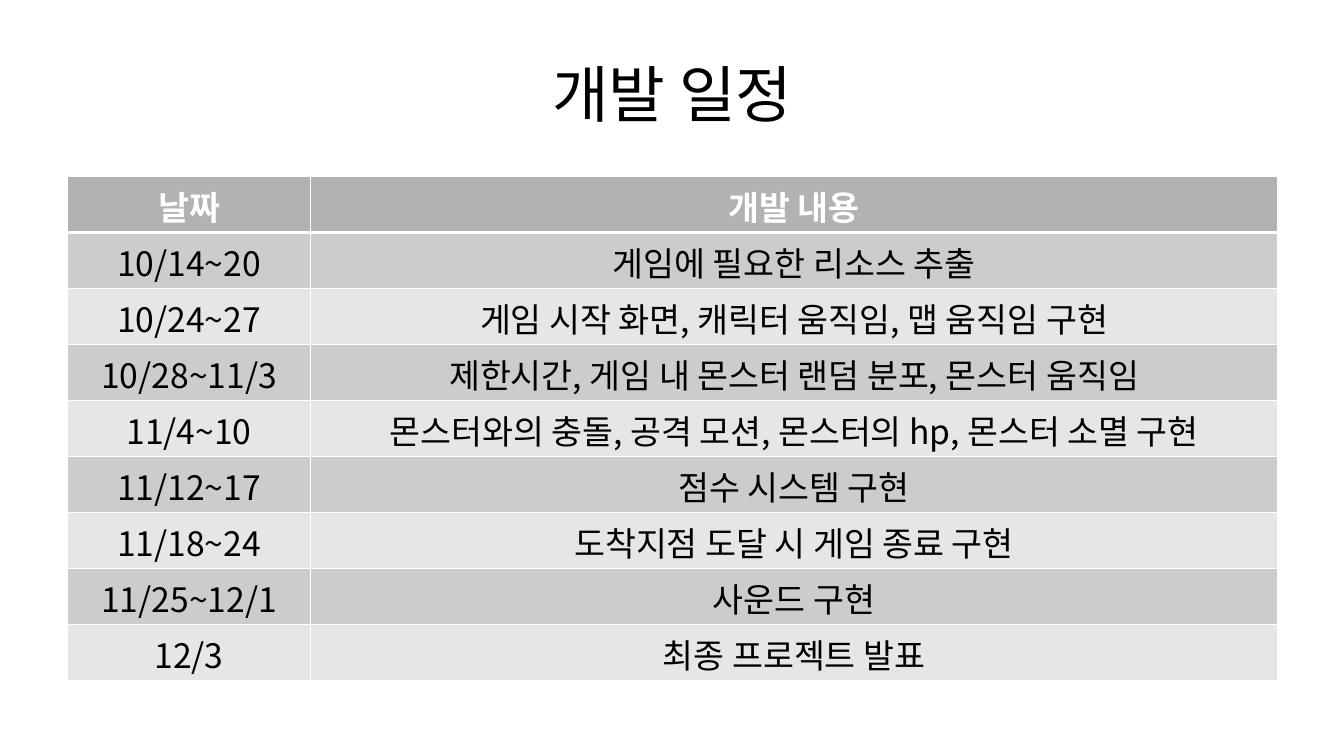
from lxml import etree
from pptx import Presentation
from pptx.dml.color import RGBColor
from pptx.enum.text import MSO_ANCHOR as Anchor, PP_ALIGN as Align
from pptx.oxml.ns import qn
from pptx.util import Inches, Pt

FONT = "Noto Sans CJK KR"
BLACK, WHITE = "000000", "FFFFFF"
HEADER_FILL, BAND_FILLS = "B2B2B2", ("CCCCCC", "E6E6E6")
BODY_FORMAT = {"size": Pt(24), "bold": False}
HEADER_FORMAT = {"size": Pt(24), "bold": True}
TITLE_FORMAT = {"size": Pt(44), "bold": False}

SCHEDULE = [
    ("날짜", "개발 내용"),
    ("10/14~20", "게임에 필요한 리소스 추출"),
    ("10/24~27", "게임 시작 화면, 캐릭터 움직임, 맵 움직임 구현"),
    ("10/28~11/3", "제한시간, 게임 내 몬스터 랜덤 분포, 몬스터 움직임"),
    ("11/4~10", "몬스터와의 충돌, 공격 모션, 몬스터의 hp, 몬스터 소멸 구현"),
    ("11/12~17", "점수 시스템 구현"),
    ("11/18~24", "도착지점 도달 시 게임 종료 구현"),
    ("11/25~12/1", "사운드 구현"),
    ("12/3", "최종 프로젝트 발표"),
]


def color(hex_value):
    return RGBColor.from_string(hex_value)


def write_text(frame, text, text_color, font_format):
    paragraph = frame.paragraphs[0]
    paragraph.alignment = Align.CENTER
    run = paragraph.add_run()
    run.text = text
    run.font.name = FONT
    run.font.color.rgb = color(text_color)
    for name, value in font_format.items():
        setattr(run.font, name, value)
    # Korean glyphs take the East Asian typeface
    etree.SubElement(run.font._element, qn("a:ea"), typeface=FONT)


def set_borders(cell, widths):
    properties = cell._tc.get_or_add_tcPr()
    for side, width in widths.items():
        line = etree.SubElement(properties, qn(f"a:ln{side}"), w=str(Pt(width)))
        fill = etree.SubElement(line, qn("a:solidFill"))
        etree.SubElement(fill, qn("a:srgbClr"), val=WHITE)


def add_title(slide, left, top, width, height):
    box = slide.shapes.add_textbox(Inches(left), Inches(top), Inches(width), Inches(height))
    box.text_frame.word_wrap = True
    box.text_frame.vertical_anchor = Anchor.MIDDLE
    write_text(box.text_frame, "개발 일정", BLACK, TITLE_FORMAT)


def add_schedule(slide, left, top, width, height):
    date_width = 2.41
    table = slide.shapes.add_table(
        len(SCHEDULE), 2, Inches(left), Inches(top), Inches(width), Inches(height)
    ).table
    table.columns[0].width = Inches(date_width)
    table.columns[1].width = Inches(width - date_width)

    for row, texts in enumerate(SCHEDULE):
        # Header row, then alternating bands
        if row == 0:
            fill, text_color, font_format = HEADER_FILL, WHITE, HEADER_FORMAT
        else:
            fill, text_color, font_format = BAND_FILLS[(row - 1) % 2], BLACK, BODY_FORMAT
        # The rule under the header is heavier
        widths = {"L": 1, "R": 1, "T": 3 if row == 1 else 1, "B": 3 if row == 0 else 1}
        for column, text in enumerate(texts):
            cell = table.cell(row, column)
            set_borders(cell, widths)
            cell.fill.solid()
            cell.fill.fore_color.rgb = color(fill)
            write_text(cell.text_frame, text, text_color, font_format)


def main():
    presentation = Presentation()
    presentation.slide_width = Inches(13.33)
    presentation.slide_height = Inches(7.5)
    slide = presentation.slides.add_slide(presentation.slide_layouts[6])
    add_title(slide, 0.67, 0.3, 12, 1.25)
    add_schedule(slide, 0.67, 1.75, 12, 5)
    presentation.save("out.pptx")


if __name__ == "__main__":
    main()
